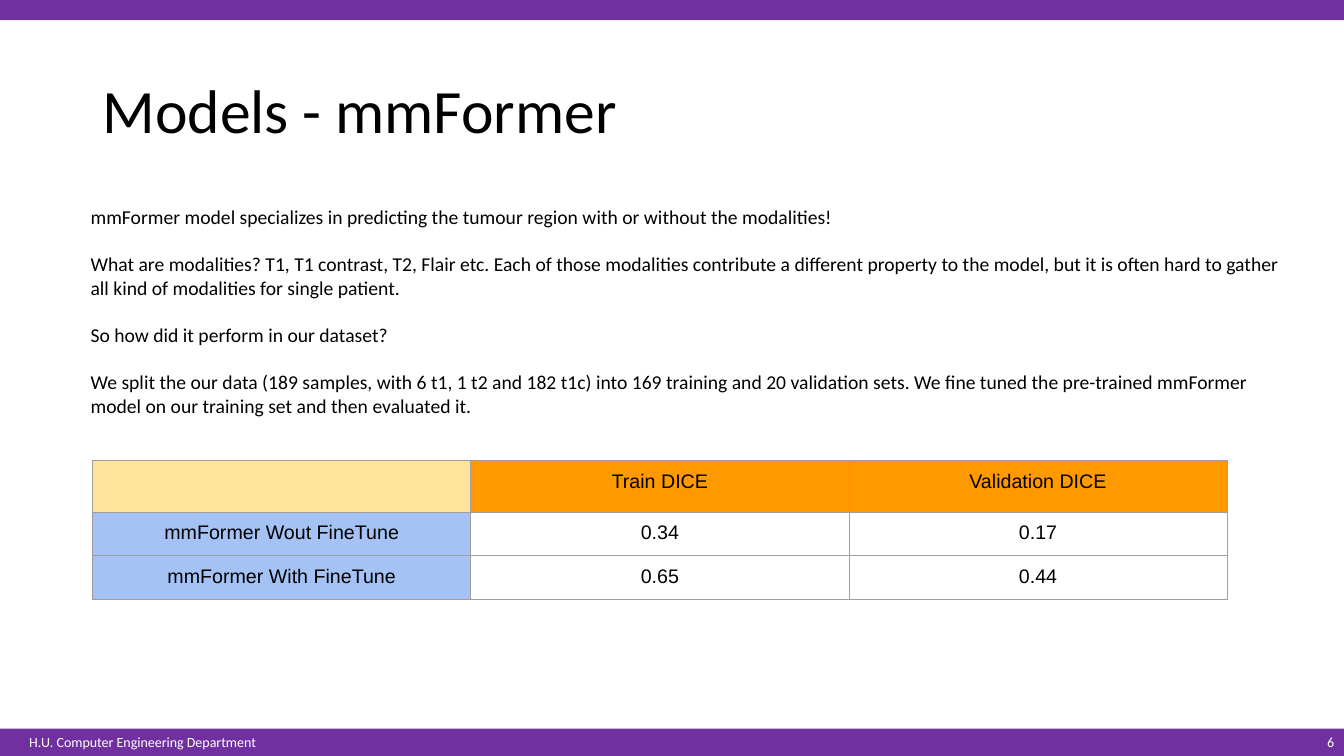
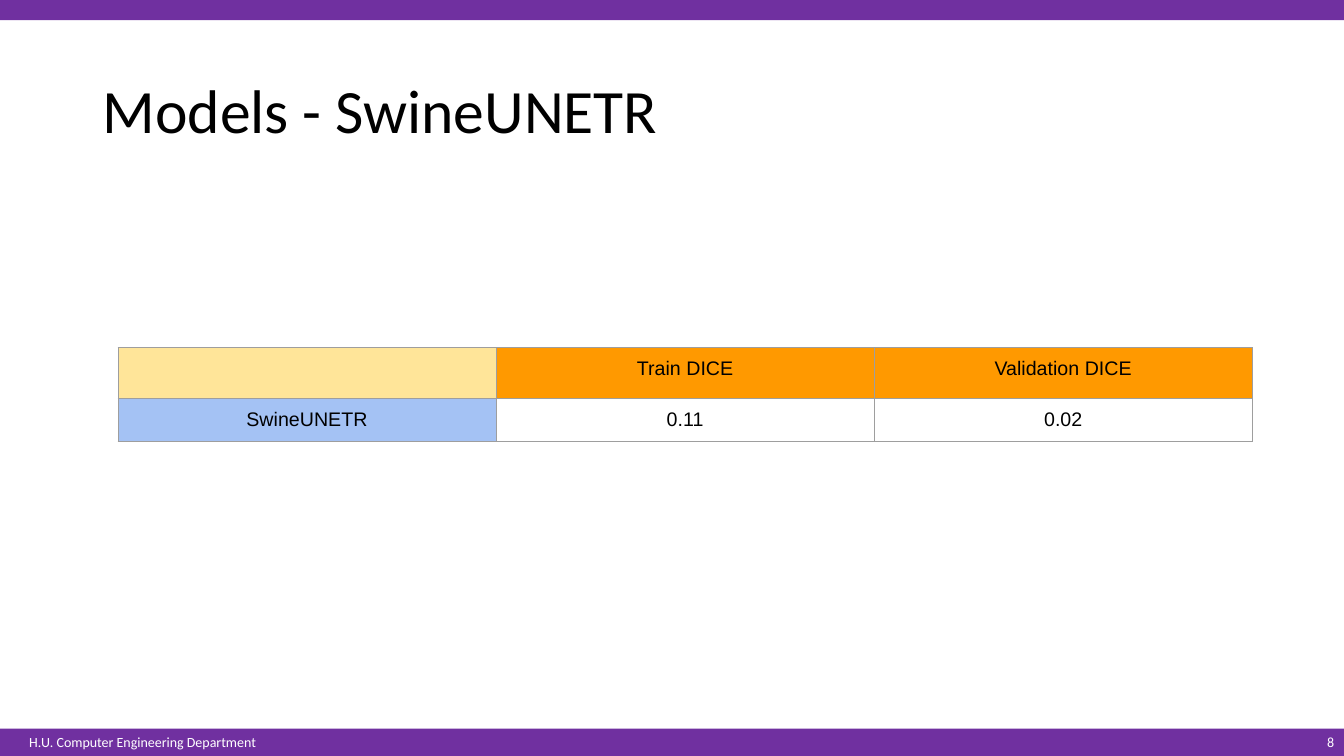
from lxml import etree
from pptx import Presentation
from pptx.dml.color import RGBColor
from pptx.enum.shapes import MSO_SHAPE
from pptx.enum.text import MSO_ANCHOR, PP_ALIGN
from pptx.oxml.ns import qn
from pptx.util import Inches, Pt

RECT = MSO_SHAPE.RECTANGLE
TOP, MIDDLE = MSO_ANCHOR.TOP, MSO_ANCHOR.MIDDLE
LEFT, CENTER, RIGHT = PP_ALIGN.LEFT, PP_ALIGN.CENTER, PP_ALIGN.RIGHT

COLORS = {
    "band": "7030A0",
    "text": "000000",
    "white": "FFFFFF",
    "corner": "FFE599",
    "header": "FF9900",
    "label": "A4C2F4",
    "border": "9E9E9E",
}
BANDS = [(0, 0.2), (7.23, 0.27)]
HEADER = ["", "Train DICE", "Validation DICE"]
SLIDES = [
    {
        "title": "Models - mmFormer",
        "number": "6",
        "body": [
            "mmFormer model specializes in predicting the tumour region with or without the modalities!",
            "What are modalities? T1, T1 contrast, T2, Flair etc. Each of those modalities contribute a different property to the model, but it is often hard to gather all kind of modalities for single patient.",
            "So how did it perform in our dataset?",
            "We split the our data (189 samples, with 6 t1, 1 t2 and 182 t1c) into 169 training and 20 validation sets. We fine tuned the pre-trained mmFormer model on our training set and then evaluated it.",
        ],
        "table_at": (0.92, 4.57),
        "heights": (0.51, 0.43),
        "scores": [
            ["mmFormer Wout FineTune", "0.34", "0.17"],
            ["mmFormer With FineTune", "0.65", "0.44"],
        ],
    },
    {
        "title": "Models - SwineUNETR",
        "number": "8",
        "body": [],
        "table_at": (1.17, 3.45),
        "heights": (0.48, 0.42),
        "scores": [["SwineUNETR", "0.11", "0.02"]],
    },
]


def add_text(s, box, lines, size, color="text", align=LEFT, anchor=TOP,
             inset=0.05, line_spacing=1.0, gap=0):
    tf = s.shapes.add_textbox(*map(Inches, box)).text_frame
    tf.word_wrap = True
    tf.vertical_anchor = anchor
    tf.margin_left = tf.margin_right = Inches(0.1)
    tf.margin_top = tf.margin_bottom = Inches(inset)
    tf.text = "\n".join(lines)
    for i, p in enumerate(tf.paragraphs):
        p.alignment = align
        p.line_spacing = line_spacing
        p.space_before = Pt(gap if i else 0)
        for r in p.runs:
            r.font.name = "Calibri"
            r.font.size = Pt(size)
            r.font.color.rgb = RGBColor.from_string(COLORS[color])


def style_cell(cell, text, fill):
    cell.margin_left = cell.margin_right = Inches(0.1)
    cell.margin_top = cell.margin_bottom = Inches(0.1)
    p = cell.text_frame.paragraphs[0]
    p.alignment = CENTER
    r = p.add_run()
    r.text = text
    r.font.name = "Arial"
    r.font.size = Pt(14)
    r.font.color.rgb = RGBColor.from_string(COLORS["text"])
    tc_pr = cell._tc.get_or_add_tcPr()
    for side in ("a:lnL", "a:lnR", "a:lnT", "a:lnB"):
        ln = etree.SubElement(tc_pr, qn(side), w=str(Pt(0.75)))
        solid = etree.SubElement(ln, qn("a:solidFill"))
        etree.SubElement(solid, qn("a:srgbClr"), val=COLORS["border"])
    cell.fill.solid()
    cell.fill.fore_color.rgb = RGBColor.from_string(COLORS[fill])


prs = Presentation()
prs.slide_width = Inches(13.33)
prs.slide_height = Inches(7.5)

for spec_data in SLIDES:
    s = prs.slides.add_slide(prs.slide_layouts[6])

    for top, height in BANDS:
        sp = s.shapes.add_shape(RECT, 0, Inches(top), prs.slide_width, Inches(height))
        sp.shadow.inherit = False
        sp.fill.solid()
        sp.fill.fore_color.rgb = RGBColor.from_string(COLORS["band"])
        sp.line.fill.background()

    add_text(s, (0.19, 7.23, 2.49, 0.27), ["H.U. Computer Engineering Department"], 10, "white")
    add_text(s, (12.26, 7.23, 1.07, 0.26), [spec_data["number"]], 10, "white", RIGHT, MIDDLE)
    add_text(s, (0.92, 0.4, 11.5, 1.45), [spec_data["title"]], 44, anchor=MIDDLE, line_spacing=0.9)
    if spec_data["body"]:
        add_text(s, (0.8, 1.93, 12.12, 2.32), spec_data["body"], 14, inset=0.1, gap=17)

    rows = [HEADER] + spec_data["scores"]
    left, top = spec_data["table_at"]
    header_height, row_height = spec_data["heights"]
    table_height = header_height + row_height * len(spec_data["scores"])
    table = s.shapes.add_table(len(rows), len(HEADER), Inches(left), Inches(top),
                               Inches(3.75 * len(HEADER)), Inches(table_height)).table
    table.first_row = table.horz_banding = False
    for i, row in enumerate(rows):
        table.rows[i].height = Inches(row_height if i else header_height)
        for j, text in enumerate(row):
            if i == 0:
                fill = "header" if j else "corner"
            else:
                fill = "white" if j else "label"
            style_cell(table.cell(i, j), text, fill)

prs.save("out.pptx")
